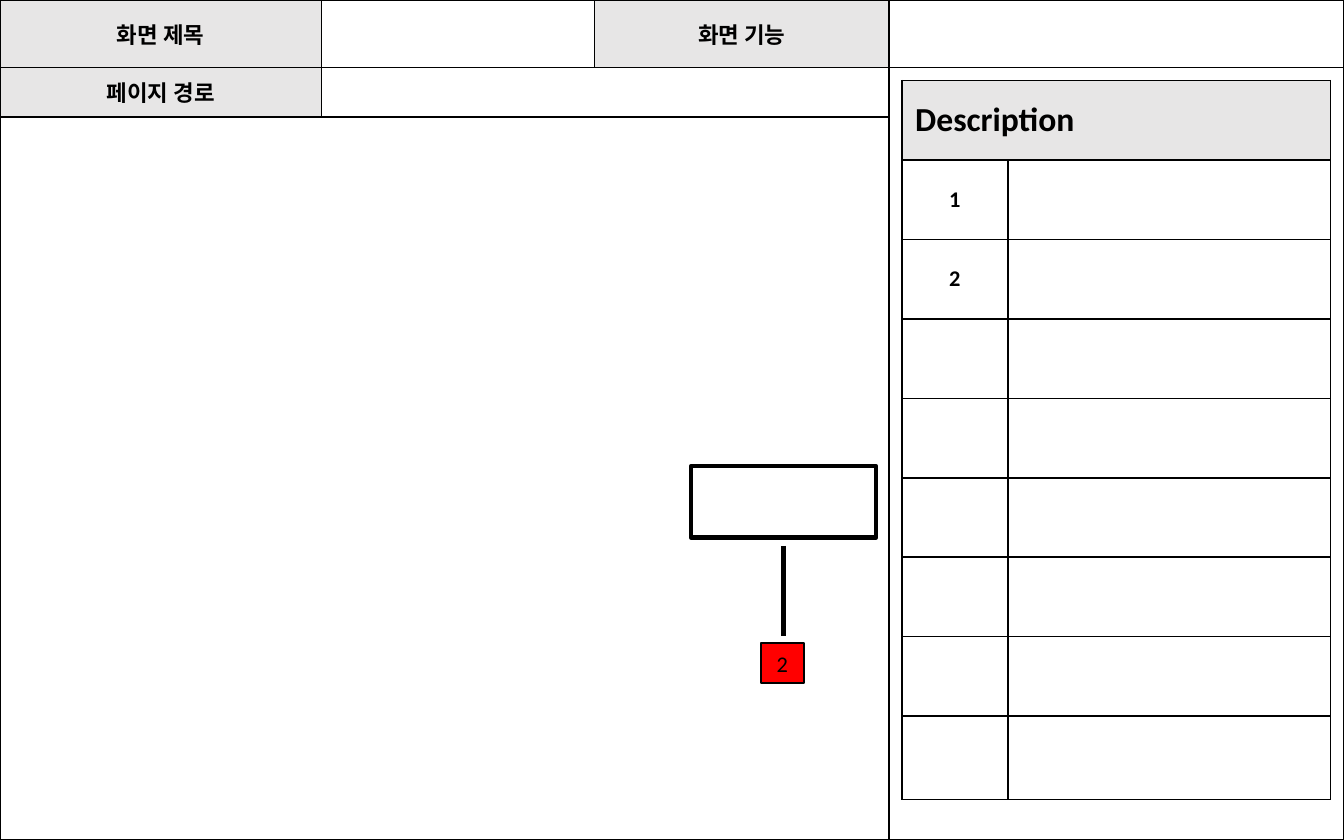
from dataclasses import dataclass
from typing import Optional

from lxml.etree import SubElement
from pptx import Presentation
from pptx.dml.color import RGBColor
from pptx.enum.shapes import MSO_CONNECTOR, MSO_SHAPE
from pptx.enum.text import MSO_ANCHOR, PP_ALIGN
from pptx.oxml import parse_xml
from pptx.oxml.ns import nsdecls, qn
from pptx.util import Emu, Inches, Pt

COLORS = {"ink": "000000", "header": "E7E6E6", "marker": "FF0000"}
FONT = "Calibri"
PAGE_WIDTH, PAGE_HEIGHT = Inches(10), Inches(6.25)


@dataclass(frozen=True)
class Area:
    """A rectangle given as shares of the slide's size."""
    left: float
    top: float
    width: float
    height: float

    def lengths(self) -> tuple:
        return (Emu(round(self.left * PAGE_WIDTH)), Emu(round(self.top * PAGE_HEIGHT)),
                Emu(round(self.width * PAGE_WIDTH)), Emu(round(self.height * PAGE_HEIGHT)))


@dataclass(frozen=True)
class Label:
    """Text in a grid cell."""
    row: int
    column: int
    text: str
    size: float = 12
    align: Optional[PP_ALIGN] = PP_ALIGN.CENTER
    shaded: bool = True


@dataclass(frozen=True)
class Grid:
    """A table; columns and rows are relative weights, spans are corner pairs."""
    area: Area
    columns: list
    rows: list
    labels: list
    spans: list


def color(name: str) -> RGBColor:
    return RGBColor.from_string(COLORS[name])


def write(frame, text: str, size: float, bold: bool = False, align=None) -> None:
    para = frame.paragraphs[0]
    para.alignment = align
    span = para.add_run()
    span.text = text
    span.font.name, span.font.size, span.font.bold = FONT, Pt(size), bold
    span.font.color.rgb = color("ink")


def border_cell(cell) -> None:
    properties = cell._tc.get_or_add_tcPr()
    for index, side in enumerate("LRTB"):
        properties.insert(index, parse_xml(
            f'<a:ln{side} w="{Pt(1)}" {nsdecls("a")}><a:solidFill>'
            f'<a:srgbClr val="{COLORS["ink"]}"/></a:solidFill></a:ln{side}>'))


def draw_grid(page, grid: Grid) -> None:
    left, top, width, height = grid.area.lengths()
    table = page.shapes.add_table(len(grid.rows), len(grid.columns),
                                  left, top, width, height).table
    table.first_row = table.horz_banding = False
    for column, weight in zip(table.columns, grid.columns):
        column.width = Emu(round(width * weight / sum(grid.columns)))
    for row, weight in zip(table.rows, grid.rows):
        row.height = Emu(round(height * weight / sum(grid.rows)))
    for cell in table.iter_cells():
        cell.margin_top = cell.margin_bottom = 0
        cell.vertical_anchor = MSO_ANCHOR.MIDDLE
        border_cell(cell)
        cell.fill.background()
    for first, last in grid.spans:
        table.cell(*first).merge(table.cell(*last))
    for label in grid.labels:
        cell = table.cell(label.row, label.column)
        write(cell.text_frame, label.text, label.size, True, label.align)
        if label.shaded:
            cell.fill.solid()
            cell.fill.fore_color.rgb = color("header")


def draw_box(page, area: Area, weight: float, fill: Optional[str] = None, text: str = "") -> None:
    box = page.shapes.add_shape(MSO_SHAPE.RECTANGLE, *area.lengths())
    box.shadow.inherit = False
    box.line.color.rgb, box.line.width = color("ink"), Pt(weight)
    if fill:
        box.fill.solid()
        box.fill.fore_color.rgb = color(fill)
    else:
        box.fill.background()
    if text:
        frame = box.text_frame
        frame.margin_top = frame.margin_bottom = 0
        frame.vertical_anchor = MSO_ANCHOR.MIDDLE
        write(frame, text, 12, align=PP_ALIGN.CENTER)


def draw_leader(page, across: float, start: float, end: float, weight: float) -> None:
    left, top, _, height = Area(across, start, 0, end - start).lengths()
    line = page.shapes.add_connector(MSO_CONNECTOR.STRAIGHT, left, top, left, top + height)
    line.line.color.rgb, line.line.width = color("ink"), Pt(weight)
    SubElement(line._element.spPr, qn("a:effectLst"))


# Whole-page frame: screen title, screen function, page path and work area
FRAME = Grid(
    Area(0, 0, 1, 1), [2.39, 2.03, 2.19, 3.38], [0.5, 0.37, 5.37],
    [Label(0, 0, "화면 제목"), Label(0, 2, "화면 기능"), Label(1, 0, "페이지 경로")],
    [((1, 1), (1, 2)), ((1, 3), (2, 3)), ((2, 0), (2, 2))])

# Description list: heading, then eight numbered or free rows
DESCRIPTION = Grid(
    Area(0.671, 0.096, 0.319, 0.856), [0.79, 2.4], [0.59] * 8 + [0.62],
    [Label(0, 0, "Description", 18, None)]
    + [Label(number, 0, str(number), shaded=False) for number in (1, 2)],
    [((0, 0), (0, 1))])


def main() -> None:
    deck = Presentation()
    deck.slide_width, deck.slide_height = PAGE_WIDTH, PAGE_HEIGHT
    page = deck.slides.add_slide(deck.slide_layouts[6])
    for grid in (FRAME, DESCRIPTION):
        draw_grid(page, grid)

    # Callout: number marker, outlined target and the leader between them
    draw_box(page, Area(0.566, 0.766, 0.032, 0.047), 1, "marker", "2")
    draw_box(page, Area(0.514, 0.555, 0.138, 0.085), 2.25)
    draw_leader(page, 0.583, 0.65, 0.757, 2.25)
    deck.save("out.pptx")


if __name__ == "__main__":
    main()
